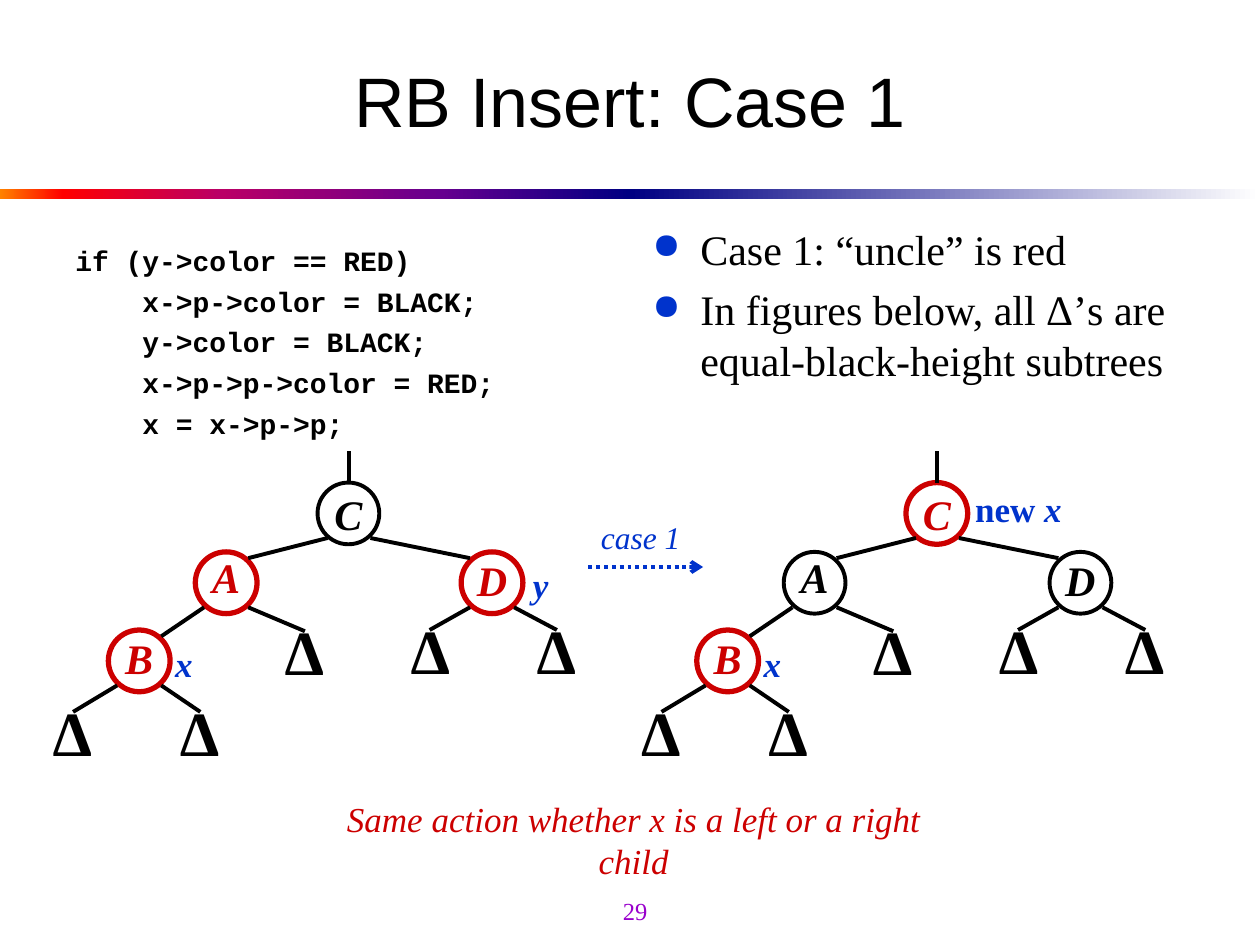
"""Build the slide on case 1 of red-black tree insertion."""
from lxml.etree import SubElement
from pptx import Presentation
from pptx.dml.color import RGBColor
from pptx.enum.dml import MSO_LINE
from pptx.enum.shapes import MSO_CONNECTOR, MSO_SHAPE
from pptx.enum.text import MSO_ANCHOR, PP_ALIGN
from pptx.oxml.ns import qn
from pptx.util import Inches, Pt

BLACK, RED, BLUE = "000000", "CC0000", "0033CC"
SERIF = "Times New Roman"
SIZE = 0.49
color = RGBColor.from_string


def write(shape, runs, size, ink, bold=False, align=PP_ALIGN.CENTER, spacing=1.0, wrap=False):
    """Fill a shape with one paragraph of (text, italic) runs."""
    frame = shape.text_frame
    frame.word_wrap = wrap
    frame.vertical_anchor = MSO_ANCHOR.MIDDLE
    para = frame.paragraphs[0]
    para.alignment = align
    para.line_spacing = spacing
    for text, italic in runs:
        span = para.add_run()
        span.text = text
        span.font.name = SERIF
        span.font.size = Pt(size)
        span.font.bold = bold
        span.font.italic = italic
        span.font.color.rgb = color(ink)


def connect(x1, y1, x2, y2, ink=BLACK):
    """Draw a straight line without shadow."""
    line = page.shapes.add_connector(
        MSO_CONNECTOR.STRAIGHT, Inches(x1), Inches(y1), Inches(x2), Inches(y2))
    line.line.color.rgb = color(ink)
    line.line.width = Pt(2.25)
    SubElement(line._element.spPr, qn("a:effectLst"))
    return line


deck = Presentation()
deck.slide_width, deck.slide_height = Inches(10), Inches(7.5)
page = deck.slides.add_slide(deck.slide_layouts[5])

bands = [
    (0, [(0, "FF8200"), (10, "FF0000"), (35, "BA0066"), (70, "66008F"), (100, "000082")]),
    (5, [(0, "000082"), (100, "FFFFFF")]),
]
for left, stops in bands:
    band = page.shapes.add_shape(
        MSO_SHAPE.RECTANGLE, Inches(left), Inches(1.5), Inches(5), Inches(0.08))
    band.shadow.inherit = False
    band.line.fill.background()
    band.fill.gradient()
    band.fill.gradient_angle = 0
    stop_list = band._element.spPr.find(".//" + qn("a:gsLst"))
    for old_stop in list(stop_list):
        stop_list.remove(old_stop)
    for percent, shade in stops:
        stop = SubElement(stop_list, qn("a:gs"), pos=str(percent * 1000))
        SubElement(stop, qn("a:srgbClr"), val=shade)

title = page.shapes.title
title.left, title.top, title.width, title.height = Inches(0.5), Inches(0.25), Inches(9), Inches(1.08)
title.text_frame.vertical_anchor = MSO_ANCHOR.MIDDLE
para = title.text_frame.paragraphs[0]
para.alignment = PP_ALIGN.CENTER
span = para.add_run()
span.text = "RB Insert: Case 1"
span.font.name = "Arial"
span.font.size = Pt(40)
span.font.color.rgb = color(BLACK)

code = [
    "if (y->color == RED)",
    "    x->p->color = BLACK;",
    "    y->color = BLACK;",
    "    x->p->p->color = RED;",
    "    x = x->p->p;",
]
points = [
    "Case 1: “uncle” is red",
    "In figures below, all Δ’s are equal-black-height subtrees",
]
blocks = [
    (0.5, 1.83, 1.83, code, "Courier New", 16, True, 4.2),
    (5.08, 1.67, 1.92, points, SERIF, 24, False, 5.8),
]
for left, top, height, lines, font, size, is_code, gap in blocks:
    box = page.shapes.add_textbox(Inches(left), Inches(top), Inches(4.42), Inches(height))
    frame = box.text_frame
    frame.word_wrap = True
    frame.margin_top = Inches(0.1)
    for index, text in enumerate(lines):
        para = frame.add_paragraph() if index else frame.paragraphs[0]
        if not is_code:
            properties = para._p.get_or_add_pPr()
            properties.set("marL", str(Inches(0.38)))
            properties.set("indent", str(Inches(-0.38)))
            bullet_color = SubElement(properties, qn("a:buClr"))
            SubElement(bullet_color, qn("a:srgbClr"), val=BLUE)
            SubElement(properties, qn("a:buSzPct"), val="85000")
            SubElement(properties, qn("a:buChar"), char="●")
        if index:
            para.space_before = Pt(gap)
        span = para.add_run()
        span.text = text
        span.font.name = font
        span.font.size = Pt(size)
        span.font.bold = is_code
        span.font.color.rgb = color(BLACK)

nodes = [("C", 2.52, 3.83, 1.0), ("A", 1.55, 4.38, 0.7), ("D", 3.66, 4.38, 0.9), ("B", 0.86, 5, 0.9)]
subtrees = [(0.33, 5.65), (1.34, 5.65), (2.17, 5.01), (3.17, 5), (4.17, 5)]
edges = [
    (2.77, 3.83, 2.77, 3.58),
    (2.6, 4.27, 1.97, 4.43), (2.94, 4.27, 3.73, 4.43),
    (1.62, 4.82, 1.28, 5.05), (1.97, 4.82, 2.42, 5.01),
    (3.73, 4.82, 3.41, 5), (4.08, 4.82, 4.42, 5),
    (0.93, 5.44, 0.58, 5.65), (1.28, 5.44, 1.59, 5.65),
]
for shift, red_nodes in [(0, "ADB"), (4.67, "CB")]:
    for name, left, top, spacing in nodes:
        ink = RED if name in red_nodes else BLACK
        node = page.shapes.add_shape(
            MSO_SHAPE.OVAL, Inches(left + shift), Inches(top), Inches(SIZE), Inches(SIZE))
        node.shadow.inherit = False
        node.fill.solid()
        node.fill.fore_color.rgb = color("FFFFFF")
        node.line.color.rgb = color(ink)
        node.line.width = Pt(3 if ink == RED else 2.25)
        write(node, [(name, True)], 24, ink, bold=True, spacing=spacing)
    for left, top in subtrees:
        subtree = page.shapes.add_shape(
            MSO_SHAPE.OVAL, Inches(left + shift), Inches(top), Inches(SIZE), Inches(SIZE))
        subtree.shadow.inherit = False
        subtree.fill.background()
        subtree.line.fill.background()
        write(subtree, [("Δ", False)], 36, BLACK, bold=True, spacing=0.6)
    for x1, y1, x2, y2 in edges:
        connect(x1 + shift, y1, x2 + shift, y2)

arrow = connect(4.67, 4.5, 5.58, 4.5, BLUE)
arrow.line.dash_style = MSO_LINE.ROUND_DOT
SubElement(arrow.line._get_or_add_ln(), qn("a:tailEnd"), type="arrow")

labels = [
    (1.29, 5.05, 0.34, 0.43, [("x", True)], 20, BLUE, True, PP_ALIGN.CENTER),
    (5.96, 5.05, 0.34, 0.43, [("x", True)], 20, BLUE, True, PP_ALIGN.CENTER),
    (4.13, 4.42, 0.32, 0.43, [("y", True)], 20, BLUE, True, PP_ALIGN.CENTER),
    (7.64, 3.82, 0.89, 0.43, [("new", False), (" x", True)], 20, BLUE, True, PP_ALIGN.LEFT),
    (4.67, 4.06, 0.83, 0.4, [("case 1", True)], 18, BLUE, False, PP_ALIGN.CENTER),
    (4, 6.98, 2.08, 0.5, [("29", False)], 14, "9900CC", False, PP_ALIGN.CENTER),
]
for left, top, width, height, runs, size, ink, bold, align in labels:
    box = page.shapes.add_textbox(Inches(left), Inches(top), Inches(width), Inches(height))
    write(box, runs, size, ink, bold, align)

remark = page.shapes.add_textbox(Inches(2.35), Inches(6.45), Inches(5.36), Inches(0.43))
write(remark, [("Same action whether x is a left or a right child", True)], 20, RED, wrap=True)

deck.save("out.pptx")
